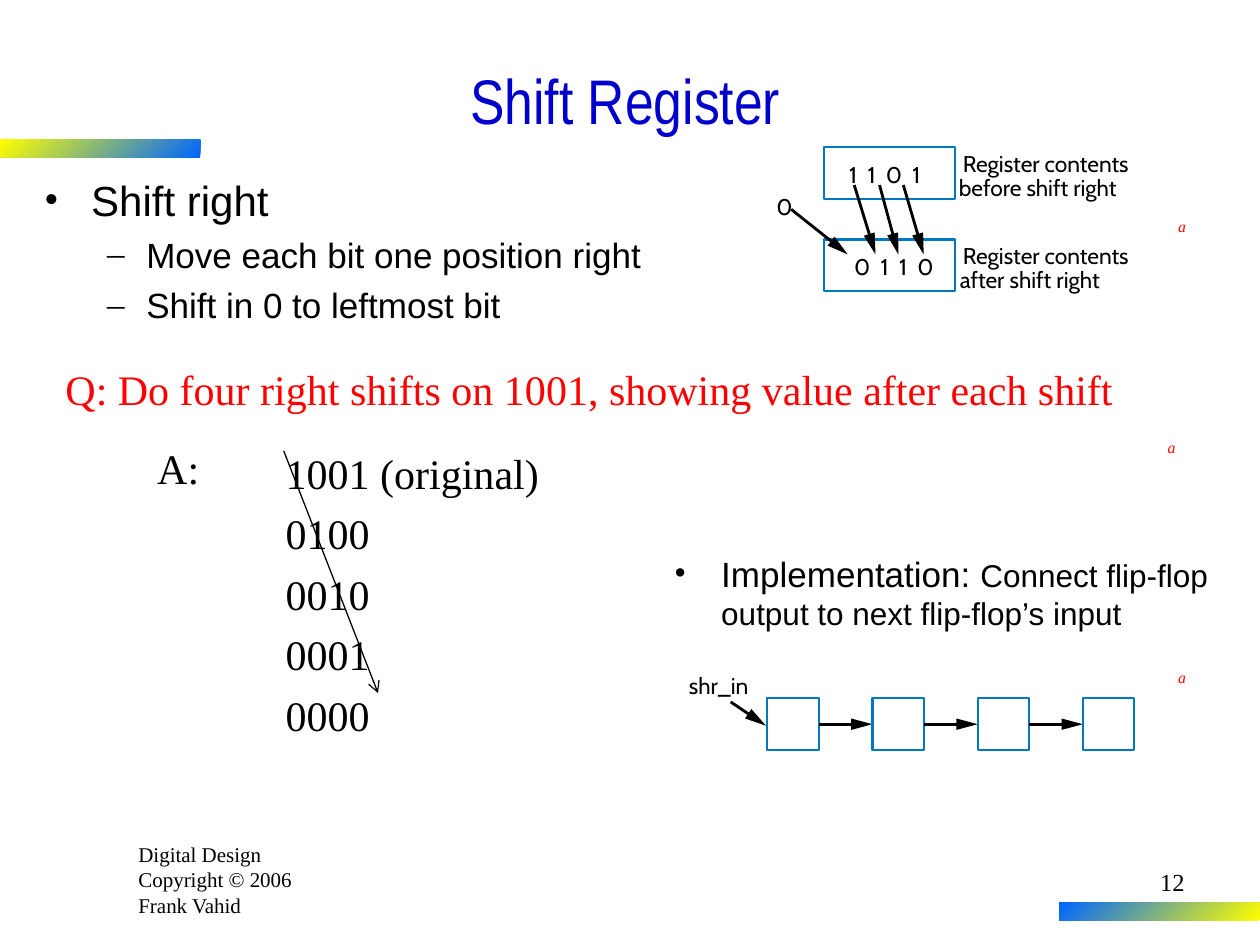
import math

import pptx
import pptx.dml.color
import pptx.enum.shapes
import pptx.enum.text
import pptx.oxml.ns
import pptx.util
from lxml import etree

Cm, Pt = pptx.util.Cm, pptx.util.Pt
RGBColor = pptx.dml.color.RGBColor
Align, Anchor = pptx.enum.text.PP_ALIGN, pptx.enum.text.MSO_ANCHOR
RECTANGLE = pptx.enum.shapes.MSO_SHAPE.RECTANGLE
STRAIGHT = pptx.enum.shapes.MSO_CONNECTOR.STRAIGHT
qn = pptx.oxml.ns.qn

BLACK = RGBColor(0x00, 0x00, 0x00)
WHITE = RGBColor(0xFF, 0xFF, 0xFF)
RED = RGBColor(0xFF, 0x00, 0x00)
TITLE_BLUE = RGBColor(0x00, 0x00, 0xCC)
BOX_BLUE = RGBColor(0x00, 0x78, 0xC1)
BAR_BLUE = RGBColor(0x00, 0x66, 0xFF)
BAR_YELLOW = RGBColor(0xFF, 0xFF, 0x00)

SERIF, SANS, LABEL = "Times New Roman", "Arial", "Cabin"

TITLE = "Shift Register"
FOOTER = ["Digital Design", "Copyright © 2006", "Frank Vahid"]
PAGE = "12"
SHIFT_POINTS = [
    (0, "Shift right", 24),
    (1, "Move each bit one position right", 20),
    (1, "Shift in 0 to leftmost bit", 20),
]
BULLETS = [("•", 0.95, -0.95), ("–", 2.06, -0.79)]
IMPLEMENTATION = [
    ("Implementation: ", 20),
    ("Connect flip-flop output to next flip-flop’s input", 18),
]
QUESTION = "Q: Do four right shifts on 1001, showing value after each shift"
ANSWERS = ["1001 (original)", "0100", "0010", "0001", "0000"]
ANSWER_TOP, ANSWER_PITCH = 8.89, 1.22

REGISTERS = [
    (2.97, "1 1 0 1", 17.12, "before shift right", 19.33),
    (4.83, "0 1 1 0", 17.22, "after shift right", 19.35),
]
SHIFT_ARROWS = [
    ((18.21, 3.73), (18.62, 5.13)),
    ((17.73, 3.73), (18.11, 5.13)),
    ((17.22, 3.73), (17.65, 5.13)),
    ((15.95, 4.22), (17.09, 5.13)),
]
MARKS = [(23.5, 4.24), (23.29, 8.69), (23.5, 13.34)]
BARS = [(0, 2.82, BAR_BLUE, BAR_YELLOW), (21.36, 18.19, BAR_YELLOW, BAR_BLUE)]

CELL, CELL_LEFT, CELL_TOP, CELL_PITCH, CELL_COUNT = 1.04, 15.47, 14.08, 2.12, 4
HEAD_LENGTH, HEAD_WIDTH, HEAD_OVERLAP = 0.43, 0.23, 0.05

deck = pptx.Presentation()
deck.slide_width, deck.slide_height = Cm(25.4), Cm(19.05)
slide = deck.slides.add_slide(deck.slide_layouts[6])
shapes = slide.shapes


def add_run(paragraph, text, size, font, color, italic=False, spacing=None):
    run = paragraph.add_run()
    run.text = text
    run.font.size, run.font.name = Pt(size), font
    run.font.color.rgb = color
    if italic:
        run.font.italic = True
    if spacing:
        run.font._element.set("spc", str(spacing))


def add_frame(left, top, width, height, margins=(0.25, 0.13), wrap=True):
    frame = shapes.add_textbox(Cm(left), Cm(top), Cm(width), Cm(height)).text_frame
    frame.word_wrap = wrap
    frame.margin_left = frame.margin_right = Cm(margins[0])
    frame.margin_top = frame.margin_bottom = Cm(margins[1])
    if not wrap:
        frame.auto_size = pptx.enum.text.MSO_AUTO_SIZE.SHAPE_TO_FIT_TEXT
    return frame


def add_line(text, left, top, width, height, size, font, color, align=Align.LEFT, **style):
    frame = add_frame(left, top, width, height)
    frame.paragraphs[0].alignment = align
    add_run(frame.paragraphs[0], text, size, font, color, **style)
    return frame


def add_label(text, left, top, width, spacing=None):
    frame = add_frame(left, top, width, 0.56, (0, 0), False)
    add_run(frame.paragraphs[0], text, 13, LABEL, BLACK, spacing=spacing)


def add_bullet(paragraph, level):
    mark, margin, indent = BULLETS[level]
    properties = paragraph._p.get_or_add_pPr()
    properties.set("marL", str(Cm(margin)))
    properties.set("indent", str(Cm(indent)))
    color = etree.SubElement(properties, qn("a:buClr"))
    etree.SubElement(color, qn("a:srgbClr"), val=str(BLACK))
    etree.SubElement(properties, qn("a:buFont"), typeface=SERIF)
    etree.SubElement(properties, qn("a:buChar"), char=mark)
    paragraph.level = level


def add_box(left, top, width, height):
    box = shapes.add_shape(RECTANGLE, Cm(left), Cm(top), Cm(width), Cm(height))
    box.shadow.inherit = False
    box.fill.solid()
    box.fill.fore_color.rgb = WHITE
    box.line.color.rgb, box.line.width = BOX_BLUE, Pt(1.25)
    return box


def add_connector(start, end, width):
    line = shapes.add_connector(STRAIGHT, *(Cm(v) for v in (*start, *end)))
    line.line.color.rgb, line.line.width = BLACK, Pt(width)
    etree.SubElement(line._element.spPr, qn("a:effectLst"))
    return line


def add_arrow(start, tip):
    distance = math.dist(start, tip)
    ux, uy = ((t - s) / distance for s, t in zip(start, tip))

    def point(back, side=0):
        return tip[0] - back * ux - side * uy, tip[1] - back * uy + side * ux

    shaft = add_connector(start, point(HEAD_LENGTH - HEAD_OVERLAP), 1.62)
    corners = [tip, point(HEAD_LENGTH, HEAD_WIDTH / 2), point(HEAD_LENGTH, -HEAD_WIDTH / 2)]
    corners = [(Cm(x), Cm(y)) for x, y in corners]
    builder = shapes.build_freeform(*corners[0])
    builder.add_line_segments(corners[1:], close=True)
    head = builder.convert_to_shape()
    head.shadow.inherit = False
    head.fill.solid()
    head.fill.fore_color.rgb = BLACK
    head.line.fill.background()
    return shaft


footer = add_frame(2.54, 16.84, 4.24, 1.78)
for i, text in enumerate(FOOTER):
    paragraph = footer.add_paragraph() if i else footer.paragraphs[0]
    add_run(paragraph, text, 12, SERIF, BLACK)

for left, top, first, last in BARS:
    bar = shapes.add_shape(RECTANGLE, Cm(left), Cm(top), Cm(4.04), Cm(0.36))
    bar.shadow.inherit = False
    bar.line.fill.background()
    bar.fill.gradient()
    bar.fill.gradient_angle = 135
    for stop, color in zip(bar.fill.gradient_stops, (first, last)):
        stop.color.rgb = color

title = add_line(TITLE, 0.64, 0.84, 23.93, 2.34, 36, "Arial Narrow", TITLE_BLUE, Align.CENTER)
title.vertical_anchor = Anchor.MIDDLE

points = add_frame(0.64, 3.38, 12.7, 3.61)
for i, (level, text, size) in enumerate(SHIFT_POINTS):
    paragraph = points.add_paragraph() if i else points.paragraphs[0]
    add_bullet(paragraph, level)
    if i:
        paragraph.space_before = Pt(5)
    add_run(paragraph, text, size, SANS, BLACK)

for top, bits, bits_left, caption, caption_left in REGISTERS:
    add_box(16.61, top, 2.64, CELL)
    add_label(bits, bits_left, top + 0.27, 1.75, spacing=150)
    add_label("Register contents", 19.41, top + 0.04, 3.76)
    add_label(caption, caption_left, top + 0.53, 3.63)
for start, tip in SHIFT_ARROWS:
    add_arrow(start, tip)
add_label("0", 15.65, 3.89, 0.25)

for left, top in MARKS:
    add_line("a", left, top, 0.66, 0.64, 9, SERIF, RED, italic=True)

add_line(QUESTION, 1.07, 7.19, 22.2, 1.27, 24, SERIF, RED)
add_line("A:", 2.92, 8.79, 1.55, 1.27, 24, SERIF, BLACK)
for i, text in enumerate(ANSWERS):
    add_line(text, 5.51, ANSWER_TOP + i * ANSWER_PITCH, 5.61, 1.27, 24, SERIF, BLACK)
diagonal = add_connector((5.72, 9.09), (7.62, 13.97), 0.75)
etree.SubElement(diagonal.line._get_or_add_ln(), qn("a:tailEnd"), type="arrow")

middle = CELL_TOP + CELL / 2
add_arrow((14.73, 14.15), (15.44, 14.63))
for i in range(CELL_COUNT):
    left = CELL_LEFT + i * CELL_PITCH
    cell = add_box(left, CELL_TOP, CELL, CELL)
    if i < CELL_COUNT - 1:
        add_arrow((left + CELL, middle), (left + CELL_PITCH, middle)).begin_connect(cell, 3)
add_label("shr_in", 13.89, 13.54, 1.3)

implementation = add_frame(13.34, 11, 11.43, 1.9).paragraphs[0]
add_bullet(implementation, 0)
for text, size in IMPLEMENTATION:
    add_run(implementation, text, size, SANS, BLACK)

add_line(PAGE, 18.85, 17.35, 5.28, 1.27, 14, SERIF, BLACK, Align.RIGHT)

deck.save("out.pptx")
